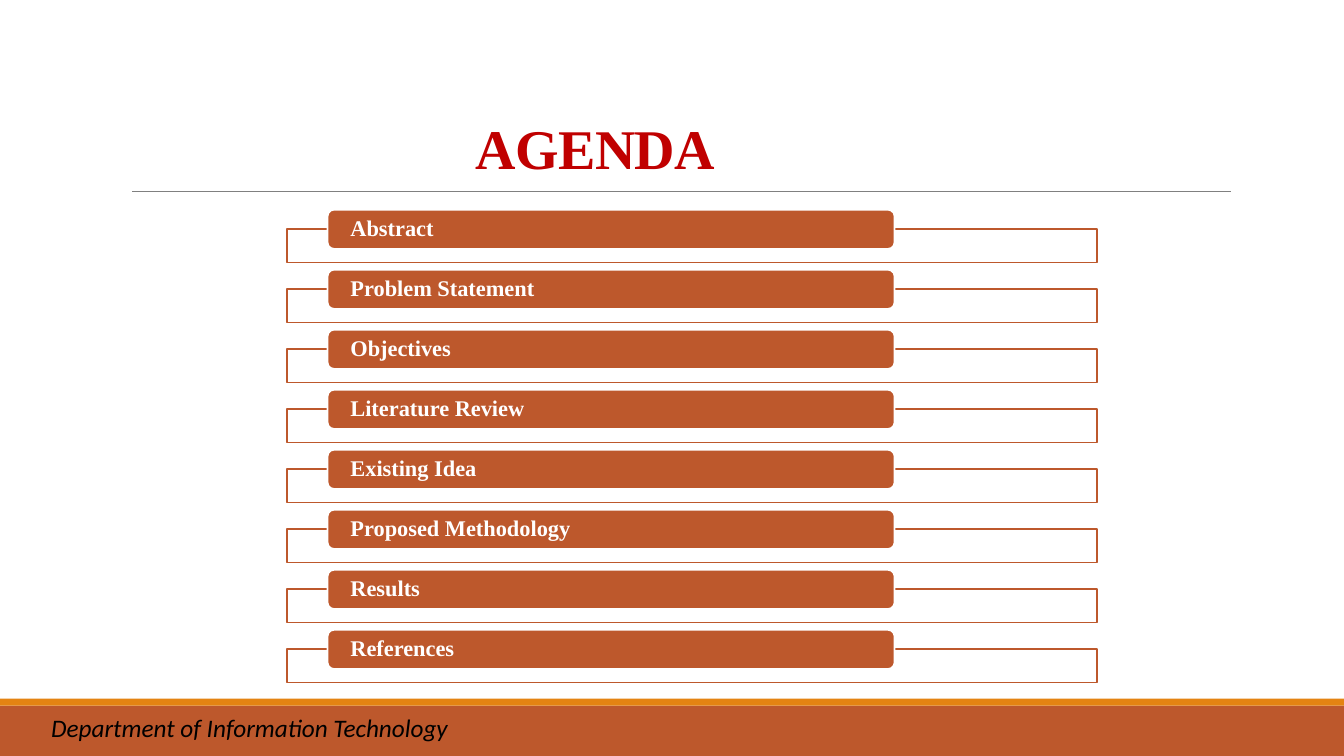
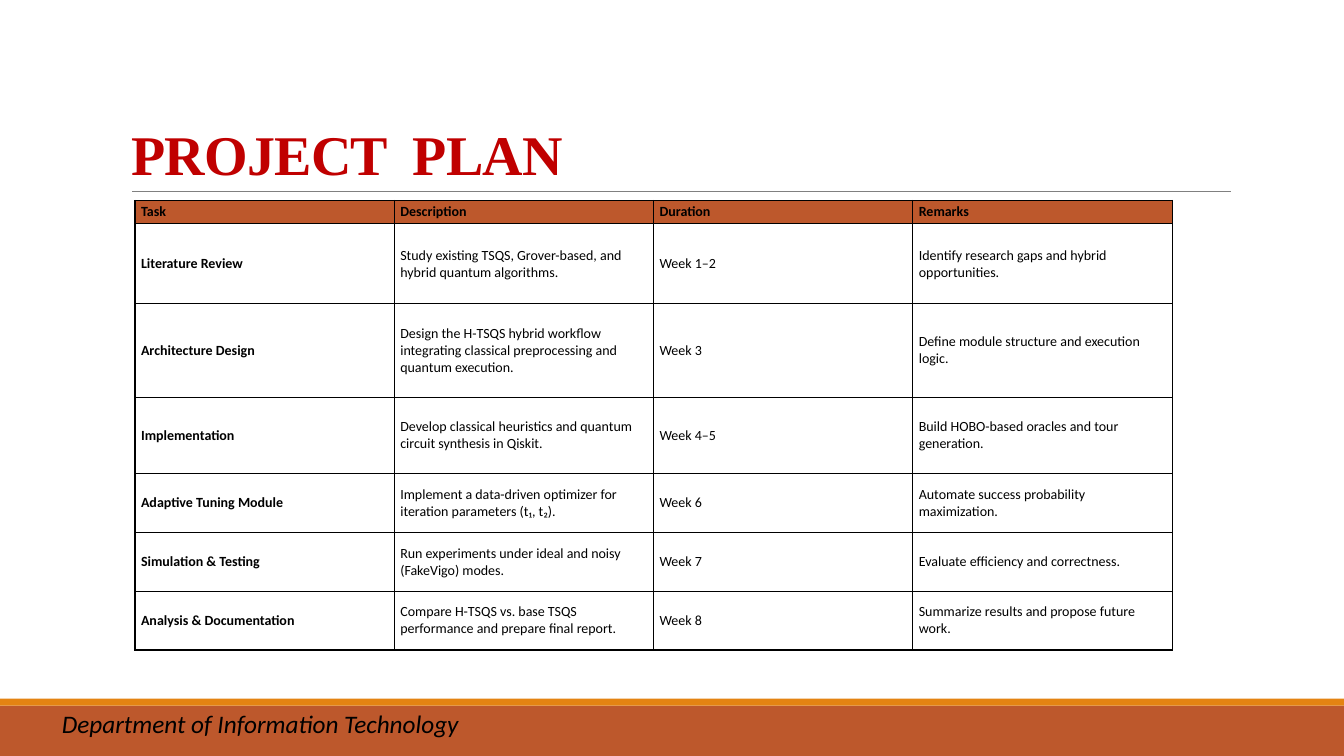
from dataclasses import dataclass

from lxml.etree import SubElement
from pptx import Presentation
from pptx.dml.color import RGBColor
from pptx.enum.shapes import MSO_CONNECTOR, MSO_SHAPE
from pptx.enum.text import MSO_ANCHOR, MSO_AUTO_SIZE, PP_ALIGN
from pptx.oxml import parse_xml
from pptx.oxml.ns import nsdecls, qn
from pptx.util import Pt


@dataclass(frozen=True)
class Theme:
    rust: RGBColor = RGBColor(0xBD, 0x58, 0x2C)
    orange: RGBColor = RGBColor(0xE4, 0x83, 0x12)
    red: RGBColor = RGBColor(0xC0, 0x00, 0x00)
    grey: RGBColor = RGBColor(0x80, 0x80, 0x80)
    black: RGBColor = RGBColor(0x00, 0x00, 0x00)
    white: RGBColor = RGBColor(0xFF, 0xFF, 0xFF)
    serif: str = "Times New Roman"
    sans: str = "Calibri"
    title_size: int = 40
    footer_size: int = 18
    agenda_size: int = 16
    table_size: int = 10


THEME = Theme()
WIDTH, HEIGHT = 960, 540
FOOTER = "Department of Information Technology"

AGENDA = [
    "Abstract", "Problem Statement", "Objectives", "Literature Review",
    "Existing Idea", "Proposed Methodology", "Results", "References",
]

PLAN = [
    ("Task", "Description", "Duration", "Remarks"),
    ("Literature Review",
     "Study existing TSQS, Grover-based, and hybrid quantum algorithms.",
     "Week 1–2", "Identify research gaps and hybrid opportunities."),
    ("Architecture Design",
     "Design the H-TSQS hybrid workflow integrating classical preprocessing and quantum execution.",
     "Week 3", "Define module structure and execution logic."),
    ("Implementation",
     "Develop classical heuristics and quantum circuit synthesis in Qiskit.",
     "Week 4–5", "Build HOBO-based oracles and tour generation."),
    ("Adaptive Tuning Module",
     "Implement a data-driven optimizer for iteration parameters (t₁, t₂).",
     "Week 6", "Automate success probability maximization."),
    ("Simulation & Testing",
     "Run experiments under ideal and noisy (FakeVigo) modes.",
     "Week 7", "Evaluate efficiency and correctness."),
    ("Analysis & Documentation",
     "Compare H-TSQS vs. base TSQS performance and prepare final report.",
     "Week 8", "Summarize results and propose future work."),
]
ROW_HEIGHTS = [16.7, 57, 67, 54.5, 42, 42, 42]
COLUMN_WIDTH = 185.2


def write(tf, text, *, font=THEME.sans, size, color=THEME.black, bold=False,
          italic=False, line_spacing=None, tracking=None):
    p = tf.paragraphs[0]
    p.alignment = PP_ALIGN.LEFT
    p.line_spacing = line_spacing
    r = p.add_run()
    r.text = text
    r.font.name = font
    r.font.size = Pt(size)
    r.font.color.rgb = color
    r.font.bold = bold
    r.font.italic = italic
    if tracking is not None:
        r.font._element.set("spc", str(round(tracking * 100)))


def add_box(slide, left, top, width, height, *, fill, line=None,
            shape=MSO_SHAPE.RECTANGLE, opacity=None):
    sp = slide.shapes.add_shape(shape, Pt(left), Pt(top), Pt(width), Pt(height))
    sp.shadow.inherit = False
    sp.fill.solid()
    sp.fill.fore_color.rgb = fill
    if opacity is not None:
        color = sp._element.spPr.find(qn("a:solidFill"))[0]
        SubElement(color, qn("a:alpha")).set("val", str(opacity * 1000))
    if line is None:
        sp.line.fill.background()
    else:
        sp.line.color.rgb = line
        sp.line.width = Pt(1.25)
    return sp


def add_rule(slide, left, right, y):
    line = slide.shapes.add_connector(
        MSO_CONNECTOR.STRAIGHT, Pt(left), Pt(y), Pt(right), Pt(y))
    line.line.color.rgb = THEME.grey
    line.line.width = Pt(0.5)
    SubElement(line._element.spPr, qn("a:effectLst"))


def add_title(slide, text, left, top, width, height):
    sp = slide.shapes.title
    sp.left, sp.top, sp.width, sp.height = Pt(left), Pt(top), Pt(width), Pt(height)
    tf = sp.text_frame
    tf.word_wrap = True
    tf.auto_size = MSO_AUTO_SIZE.NONE
    tf.vertical_anchor = MSO_ANCHOR.BOTTOM
    write(tf, text, font=THEME.serif, size=THEME.title_size, color=THEME.red,
          bold=True, line_spacing=0.85, tracking=-0.5)


def add_footer(slide, left, top):
    sp = slide.shapes.add_textbox(Pt(left), Pt(top), Pt(328), Pt(29))
    sp.text_frame.word_wrap = True
    write(sp.text_frame, FOOTER, size=THEME.footer_size, italic=True)


def add_slide(prs, title, title_box, footer_at):
    slide = prs.slides.add_slide(prs.slide_layouts[5])
    add_box(slide, 0, 504, WIDTH, 36, fill=THEME.rust)
    add_box(slide, 0, 499, WIDTH, 5, fill=THEME.orange)
    add_rule(slide, 94.5, 879, 136.8)
    add_title(slide, title, *title_box)
    add_footer(slide, *footer_at)
    return slide


def add_agenda_item(slide, text, top):
    add_box(slide, 205, top + 13.8, 578.8, 23.9, fill=THEME.white,
            line=THEME.rust, opacity=90)
    pill = add_box(slide, 234, top, 405, 28, fill=THEME.rust, line=THEME.white,
                   shape=MSO_SHAPE.ROUNDED_RECTANGLE)
    tf = pill.text_frame
    tf.margin_left = tf.margin_right = Pt(15)
    tf.margin_top = tf.margin_bottom = 0
    tf.vertical_anchor = MSO_ANCHOR.MIDDLE
    write(tf, text, font=THEME.serif, size=THEME.agenda_size, color=THEME.white,
          bold=True, line_spacing=0.9)


def add_borders(cell):
    tcPr = cell._tc.get_or_add_tcPr()
    for i, side in enumerate(("lnL", "lnR", "lnT", "lnB")):
        tcPr.insert(i, parse_xml(
            f'<a:{side} {nsdecls("a")} w="{Pt(1)}"><a:solidFill>'
            f'<a:srgbClr val="{THEME.black}"/></a:solidFill></a:{side}>'))


def format_cell(cell, text, header, bold):
    cell.margin_left = cell.margin_right = Pt(4.3)
    cell.margin_top = cell.margin_bottom = Pt(2.15)
    cell.vertical_anchor = MSO_ANCHOR.MIDDLE
    if header:
        cell.fill.solid()
        cell.fill.fore_color.rgb = THEME.rust
    else:
        cell.fill.background()
    add_borders(cell)
    write(cell.text_frame, text, size=THEME.table_size, bold=bold)


def add_plan_table(slide, left, top):
    columns = len(PLAN[0])
    table = slide.shapes.add_table(
        len(PLAN), columns, Pt(left), Pt(top),
        Pt(COLUMN_WIDTH * columns), Pt(sum(ROW_HEIGHTS))).table
    table.first_row = table.horz_banding = False
    for column in table.columns:
        column.width = Pt(COLUMN_WIDTH)
    for i, (texts, height) in enumerate(zip(PLAN, ROW_HEIGHTS)):
        table.rows[i].height = Pt(height)
        for j, text in enumerate(texts):
            format_cell(table.cell(i, j), text, header=i == 0,
                        bold=i == 0 or j == 0)


def main():
    prs = Presentation()
    prs.slide_width, prs.slide_height = Pt(WIDTH), Pt(HEIGHT)

    agenda = add_slide(prs, "AGENDA", (332.8, 28, 259, 104.5), (29.5, 505))
    for i, text in enumerate(AGENDA):
        add_agenda_item(agenda, text, 149.8 + 42.87 * i)

    plan = add_slide(prs, "PROJECT  PLAN", (86.6, 22.3, 792, 114.5), (37.2, 502.6))
    add_plan_table(plan, 96.5, 143.2)

    prs.save("out.pptx")


if __name__ == "__main__":
    main()
